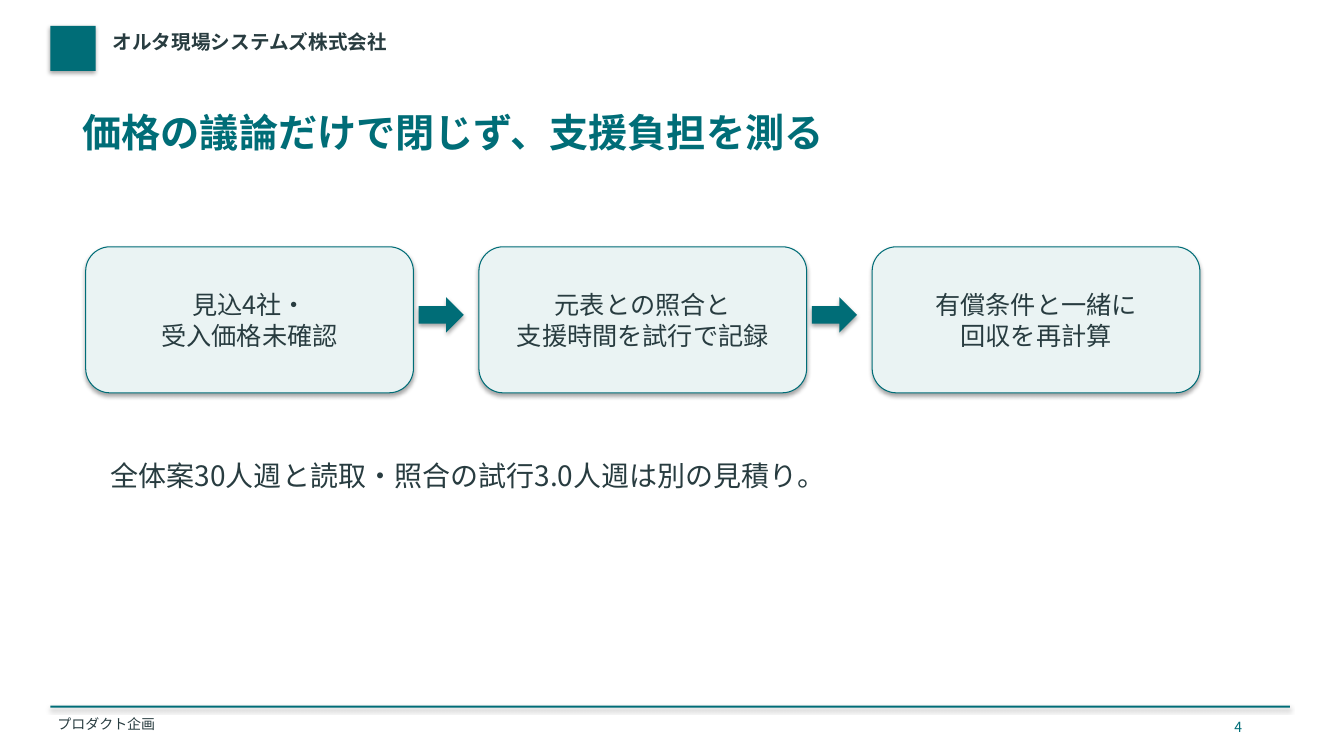
from lxml import etree
from pptx import Presentation
from pptx.dml.color import RGBColor
from pptx.enum.shapes import MSO_SHAPE
from pptx.enum.text import MSO_ANCHOR, MSO_AUTO_SIZE, PP_ALIGN
from pptx.oxml.ns import qn
from pptx.util import Cm, Pt

COMPANY = "オルタ現場システムズ株式会社"
TITLE = "価格の議論だけで閉じず、支援負担を測る"
STEPS = [
    ["見込4社・", "受入価格未確認"],
    ["元表との照合と", "支援時間を試行で記録"],
    ["有償条件と一緒に", "回収を再計算"],
]
NOTE = "全体案30人週と読取・照合の試行3.0人週は別の見積り。"
DEPARTMENT = "プロダクト企画"
PAGE = "4"

FONT = "Noto Sans CJK JP"
TEAL = RGBColor(0x00, 0x6D, 0x77)
PALE = RGBColor(0xEA, 0xF3, 0xF3)
INK = RGBColor(0x28, 0x3C, 0x40)
RECTANGLE, ROUNDED = MSO_SHAPE.RECTANGLE, MSO_SHAPE.ROUNDED_RECTANGLE
ARROW = MSO_SHAPE.RIGHT_ARROW
LEFT, CENTER = PP_ALIGN.LEFT, PP_ALIGN.CENTER
TOP, MIDDLE = MSO_ANCHOR.TOP, MSO_ANCHOR.MIDDLE

TIGHT = 0.05
ROOMY_X, ROOMY_Y = 0.25, 0.13
STEP_LEFT, STEP_TOP, STEP_WIDTH, STEP_HEIGHT = 2.16, 6.22, 8.26, 3.68
STEP_PITCH = 9.91
ARROW_GAP, ARROW_TOP, ARROW_WIDTH, ARROW_HEIGHT = 0.13, 7.49, 1.14, 0.89


def write(shape, lines, size, color=INK, bold=False, align=LEFT, anchor=TOP,
          margins=(ROOMY_X, ROOMY_Y)):
    frame = shape.text_frame
    frame.word_wrap = True
    frame.auto_size = MSO_AUTO_SIZE.NONE
    frame.vertical_anchor = anchor
    frame.margin_left = frame.margin_right = Cm(margins[0])
    frame.margin_top = frame.margin_bottom = Cm(margins[1])
    for index, line in enumerate(lines):
        paragraph = frame.add_paragraph() if index else frame.paragraphs[0]
        paragraph.alignment = align
        run = paragraph.add_run()
        run.text = line
        run.font.size = Pt(size)
        run.font.bold = bold
        run.font.color.rgb = color
        run.font.name = FONT
        east_asian = etree.SubElement(run.font._element, qn("a:ea"))
        east_asian.set("typeface", FONT)


def add_text(slide, text, left, top, width, height, **style):
    box = slide.shapes.add_textbox(Cm(left), Cm(top), Cm(width), Cm(height))
    write(box, [text], **style)


def add_filled(slide, kind, left, top, width, height, fill=TEAL, line=None):
    """Add a preset shape that keeps the soft shadow of the theme."""
    shape = slide.shapes.add_shape(kind, Cm(left), Cm(top), Cm(width), Cm(height))
    shape.fill.solid()
    shape.fill.fore_color.rgb = fill
    if line is None:
        shape.line.fill.background()
    else:
        shape.line.color.rgb = line
        shape.line.width = Pt(0.75)
    return shape


def main():
    presentation = Presentation()
    presentation.slide_width, presentation.slide_height = Cm(33.87), Cm(19.05)
    slide = presentation.slides.add_slide(presentation.slide_layouts[5])

    add_filled(slide, RECTANGLE, 1.27, 0.65, 1.14, 1.14)
    add_text(slide, COMPANY, 2.79, 0.71, 25.4, 1.02, size=14, bold=True,
             margins=(TIGHT, TIGHT))
    add_filled(slide, RECTANGLE, 1.27, 17.78, 31.24, 0.05)
    add_text(slide, DEPARTMENT, 1.4, 17.98, 22.86, 0.56, size=10,
             margins=(TIGHT, TIGHT))
    add_text(slide, PAGE, 30.86, 17.98, 1.27, 0.56, size=10, color=TEAL)

    title = slide.shapes.title
    title.left, title.top = Cm(2.03), Cm(2.67)
    title.width, title.height = Cm(29.72), Cm(1.91)
    write(title, [TITLE], size=28, color=TEAL, bold=True, margins=(TIGHT, TIGHT))

    for index, lines in enumerate(STEPS):
        left = STEP_LEFT + index * STEP_PITCH
        step = add_filled(slide, ROUNDED, left, STEP_TOP, STEP_WIDTH, STEP_HEIGHT,
                          fill=PALE, line=TEAL)
        write(step, lines, size=18, align=CENTER, anchor=MIDDLE)
        if index < len(STEPS) - 1:
            add_filled(slide, ARROW, left + STEP_WIDTH + ARROW_GAP, ARROW_TOP,
                       ARROW_WIDTH, ARROW_HEIGHT)

    add_text(slide, NOTE, 2.54, 11.43, 28.45, 2.29, size=20)
    presentation.save("out.pptx")


if __name__ == "__main__":
    main()
